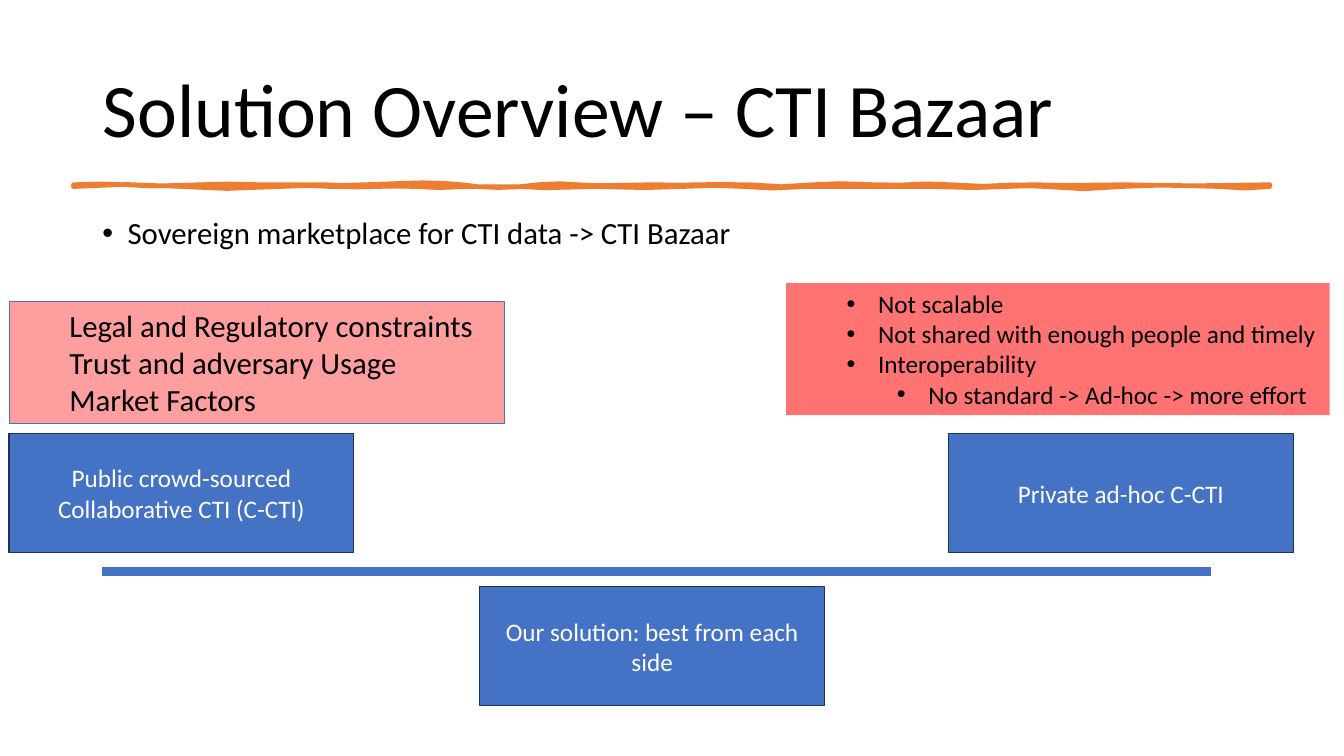
from dataclasses import dataclass

from lxml.etree import SubElement
from pptx import Presentation
from pptx.dml.color import RGBColor
from pptx.enum.shapes import MSO_CONNECTOR, MSO_SHAPE
from pptx.enum.text import MSO_ANCHOR, MSO_AUTO_SIZE, PP_ALIGN
from pptx.oxml.ns import qn
from pptx.shapes.autoshape import Shape
from pptx.slide import Slide
from pptx.text.text import TextFrame, _Paragraph
from pptx.util import Pt


@dataclass(frozen=True)
class Theme:
    font: str = "Calibri"
    black: str = "000000"
    white: str = "FFFFFF"
    blue: str = "4472C4"
    navy: str = "1E3256"
    red: str = "FF0000"
    orange: str = "ED7D31"
    title: int = 54
    lead: int = 22
    small: int = 18


@dataclass(frozen=True)
class Item:
    text: str
    level: int = 1
    indent: float = 36
    hanging: float = 0


@dataclass(frozen=True)
class Drawback:
    left: float
    top: float
    width: float
    height: float
    opacity: int
    size: int
    items: tuple[Item, ...]
    line: str | None = None
    wrap: bool = True


@dataclass(frozen=True)
class Approach:
    left: float
    top: float
    text: str


T = Theme()
BOX_W, BOX_H = 246.25, 85

DRAWBACKS = (
    Drawback(561.6, 202.3, 388.1, 94.3, 55, T.small, (
        Item("Not scalable", 1, 58.5, 22.5),
        Item("Not shared with enough people and timely", 1, 58.5, 22.5),
        Item("Interoperability", 1, 58.5, 22.5),
        Item("No standard -> Ad-hoc -> more effort", 2, 94.5, 22.5),
    )),
    Drawback(6.5, 215.3, 354.2, 87.1, 38, T.lead, (
        Item("Legal and Regulatory constraints"),
        Item("Trust and adversary Usage"),
        Item("Market Factors"),
    ), T.blue, False),
)
APPROACHES = (
    Approach(6.5, 309.6, "Public crowd-sourced Collaborative CTI (C-CTI)"),
    Approach(677.5, 309.6, "Private ad-hoc C-CTI"),
    Approach(342.7, 419, "Our solution: best from each side"),
)

# Brush stroke edges: x, and offset from the edge's base height
STROKE_TOP, STROKE_BOTTOM = 131.9, 133.3
TOP_EDGE = (
    (52.5, 0), (71, -0.5), (89, 0), (108, 1), (143, 0), (162, -0.5), (187, 0),
    (232, 0), (245, 0.5), (260, 0), (282, -0.8), (302, -1.4), (318, -0.9),
    (330, 0), (343, 1.6), (356, 2.1), (370, 1.6), (384, 0), (400, -0.8),
    (412, 0), (428, 0.6), (465, 0), (486, 0.2), (511, -0.2), (536, 0),
    (558, 1.4), (580, 0), (600, -0.8), (625, 0), (643, 0.2), (662, -0.6),
    (679, 0), (702, 1.1), (720, 0.3), (741, 0), (760, 0.5), (803, 0),
    (850, 0.8), (907, 0),
)
BOTTOM_EDGE = (
    (907, 0), (889, 1.1), (871, 0), (832, -1.1), (801, 0), (774, 1.6),
    (747, 0), (734, -0.5), (719, 0), (695, 0.8), (666, 0), (576, 0),
    (551, 1.1), (531, 0), (511, -0.8), (487, 0), (461, 0.8), (425, 0),
    (389, 0.9), (371, 0), (343, 0), (328, 0.2), (313, 0.8), (298, 0),
    (281, -0.3), (256, 0.3), (236, 0), (220, -0.8), (200, 0), (162, 1.4),
    (130, 0), (90, -1.6), (52.5, 0),
)


def rgb(color: str) -> RGBColor:
    return RGBColor.from_string(color)


def style(p: _Paragraph, size: int, color: str) -> None:
    for r in p.runs:
        r.font.name, r.font.size = T.font, Pt(size)
        r.font.color.rgb = rgb(color)


def indent(p: _Paragraph, left: float, hanging: float) -> None:
    """Set the paragraph indent, with a bullet where it hangs."""
    pPr = p._p.get_or_add_pPr()
    pPr.set("marL", str(Pt(left)))
    pPr.set("indent", str(-Pt(hanging)))
    if hanging:
        SubElement(pPr, qn("a:buFont")).set("typeface", "Arial")
        SubElement(pPr, qn("a:buChar")).set("char", "•")


def place(sp: Shape, left: float, top: float, width: float, height: float) -> TextFrame:
    sp.left, sp.top, sp.width, sp.height = Pt(left), Pt(top), Pt(width), Pt(height)
    tf = sp.text_frame
    tf.word_wrap = True
    tf.auto_size = MSO_AUTO_SIZE.NONE
    return tf


def add_rect(s: Slide, left: float, top: float, width: float, height: float,
             fill: str, line: str | None, weight: float) -> Shape:
    sp = s.shapes.add_shape(MSO_SHAPE.RECTANGLE, Pt(left), Pt(top), Pt(width), Pt(height))
    sp.shadow.inherit = False
    sp.fill.solid()
    sp.fill.fore_color.rgb = rgb(fill)
    if line:
        sp.line.color.rgb = rgb(line)
        sp.line.width = Pt(weight)
    else:
        sp.line.fill.background()
    sp.text_frame.word_wrap = True
    return sp


def add_drawback(s: Slide, d: Drawback) -> None:
    sp = add_rect(s, d.left, d.top, d.width, d.height, T.red, d.line, 0.75)
    color = sp.fill._xPr.find(qn("a:solidFill"))[0]
    SubElement(color, qn("a:alpha")).set("val", str(d.opacity * 1000))
    tf = sp.text_frame
    tf.text = "\n".join(item.text for item in d.items)
    tf.word_wrap = d.wrap
    tf.auto_size = MSO_AUTO_SIZE.SHAPE_TO_FIT_TEXT
    tf.vertical_anchor = MSO_ANCHOR.TOP
    for p, item in zip(tf.paragraphs, d.items):
        p.level, p.alignment = item.level, PP_ALIGN.LEFT
        indent(p, item.indent, item.hanging)
        style(p, d.size, T.black)


def add_approach(s: Slide, a: Approach) -> None:
    tf = add_rect(s, a.left, a.top, BOX_W, BOX_H, T.blue, T.navy, 1).text_frame
    tf.text = a.text
    tf.vertical_anchor = MSO_ANCHOR.MIDDLE
    tf.paragraphs[0].alignment = PP_ALIGN.CENTER
    style(tf.paragraphs[0], T.small, T.white)


def add_brush_stroke(s: Slide) -> None:
    points = [(Pt(x), Pt(base + dy))
              for base, edge in ((STROKE_TOP, TOP_EDGE), (STROKE_BOTTOM, BOTTOM_EDGE))
              for x, dy in edge]
    builder = s.shapes.build_freeform(*points[0])
    builder.add_line_segments(points[1:], close=True)
    sp = builder.convert_to_shape()
    sp.shadow.inherit = False
    sp.fill.solid()
    sp.fill.fore_color.rgb = rgb(T.orange)
    sp.line.color.rgb = rgb(T.orange)
    sp.line.width = Pt(3.25)
    SubElement(sp.line._get_or_add_ln(), qn("a:round"))


def main() -> None:
    prs = Presentation()
    prs.slide_width, prs.slide_height = Pt(960), Pt(540)
    s = prs.slides.add_slide(prs.slide_layouts[1])

    # Title
    tf = place(s.shapes.title, 66, 28.75, 828, 104.4)
    tf.text = "Solution Overview – CTI Bazaar"
    tf.vertical_anchor = MSO_ANCHOR.MIDDLE
    p = tf.paragraphs[0]
    p.alignment, p.line_spacing = PP_ALIGN.LEFT, 0.9
    style(p, T.title, T.black)
    add_brush_stroke(s)

    # Lead statement
    tf = place(s.placeholders[1], 66, 152, 590, 34)
    tf.text = "Sovereign marketplace for CTI data -> CTI Bazaar"
    p = tf.paragraphs[0]
    p.line_spacing, p.space_before = 0.9, Pt(10)
    indent(p, 18, 18)
    style(p, T.lead, T.black)

    # Drawbacks of both ends
    for d in DRAWBACKS:
        add_drawback(s, d)

    # Scale from public to private
    axis = s.shapes.add_connector(MSO_CONNECTOR.STRAIGHT, Pt(73), Pt(408.2), Pt(865), Pt(408.2))
    axis.line.color.rgb = rgb(T.blue)
    axis.line.width = Pt(6)
    SubElement(axis._element.spPr, qn("a:effectLst"))
    for a in APPROACHES:
        add_approach(s, a)

    prs.save("out.pptx")


if __name__ == "__main__":
    main()
